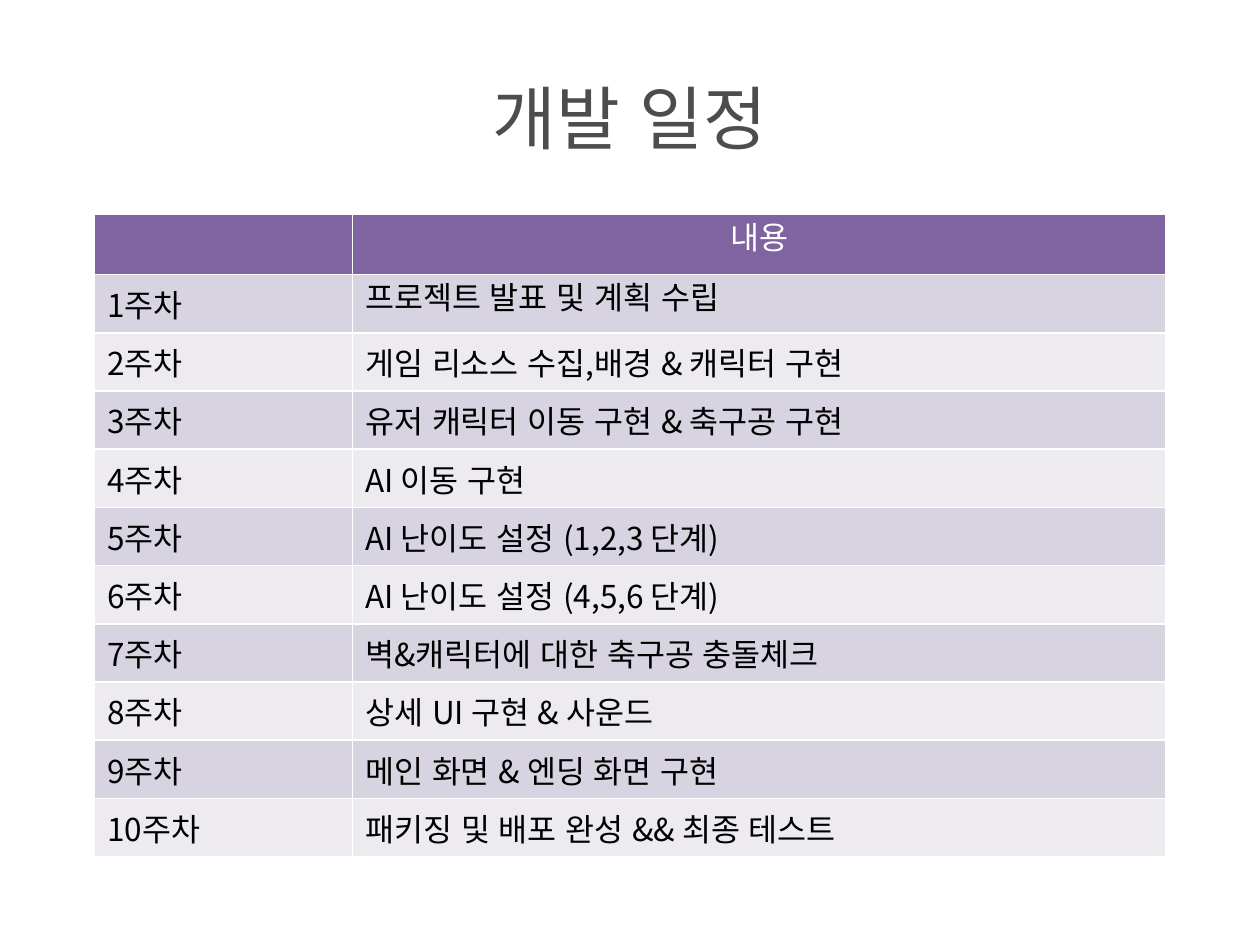
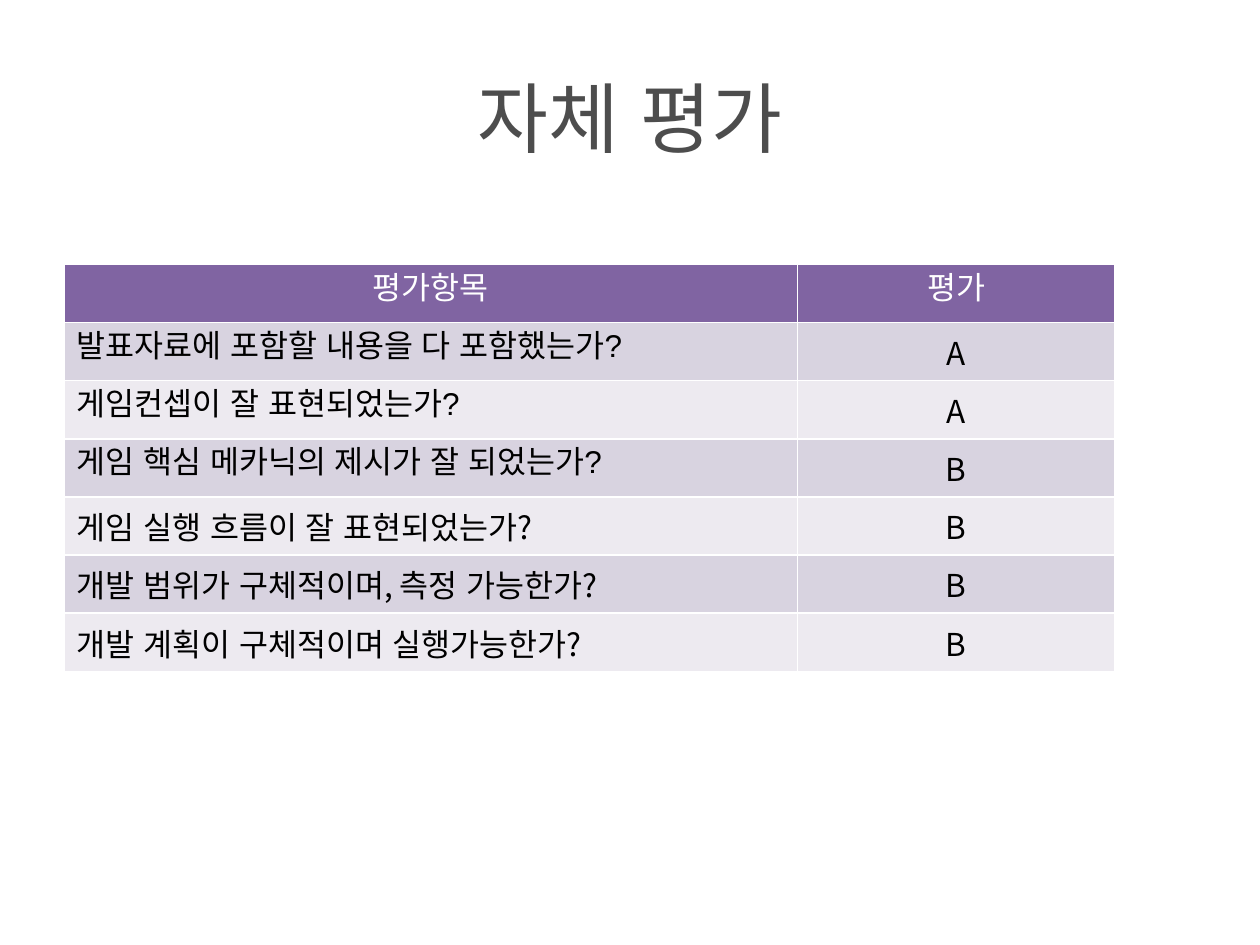
from lxml import etree
from pptx import Presentation
from pptx import util as u
from pptx.dml import color
from pptx.enum import text
from pptx.oxml import ns

# Content
PLAN = [
    "프로젝트 발표 및 계획 수립",
    "게임 리소스 수집,배경 & 캐릭터 구현",
    "유저 캐릭터 이동 구현 & 축구공 구현",
    "AI 이동 구현",
    "AI 난이도 설정 (1,2,3 단계)",
    "AI 난이도 설정 (4,5,6 단계)",
    "벽&캐릭터에 대한 축구공 충돌체크",
    "상세 UI 구현 & 사운드",
    "메인 화면 & 엔딩 화면 구현",
    "패키징 및 배포 완성 && 최종 테스트",
]
GRADES = [
    ("발표자료에 포함할 내용을 다 포함했는가?", "A"),
    ("게임컨셉이 잘 표현되었는가?", "A"),
    ("게임 핵심 메카닉의 제시가 잘 되었는가?", "B"),
    ("게임 실행 흐름이 잘 표현되었는가?", "B"),
    ("개발 범위가 구체적이며, 측정 가능한가?", "B"),
    ("개발 계획이 구체적이며 실행가능한가?", "B"),
]
# "tall" is the height of the head row and of all body rows together;
# "arial" counts the body rows whose first cell uses Arial
SLIDES = [
    dict(title="개발 일정", size=39.6, at=(0.75, 1.7), cols=(2.05, 6.45),
         head=("", "내용"), rows=[(f"{n}주차", job) for n, job in enumerate(PLAN, 1)],
         tall=(0.48, 4.62), mid=(), arial=0),
    dict(title="자체 평가", size=44, at=(0.51, 2.1), cols=(5.82, 2.52),
         head=("평가항목", "평가"), rows=GRADES,
         tall=(0.46, 2.77), mid=(1,), arial=3),
]

# Shared style
HEX = dict(title="4D4D4D", head="8064A2", odd="D8D3E0", even="EDEAF0",
           white="FFFFFF", black="000000")
SANS = "Noto Sans CJK KR"
EAST = "Arial"


def rgb(name):
    return color.RGBColor.from_string(HEX[name])


def write(frame, words, size, ink, center, font=SANS):
    para = frame.paragraphs[0]
    para.alignment = text.PP_ALIGN.CENTER if center else text.PP_ALIGN.LEFT
    if not words:
        para.font.size = u.Pt(size)
        return
    run = para.add_run()
    run.text = words
    run.font.size = u.Pt(size)
    run.font.bold = False
    run.font.name = font
    run.font.color.rgb = rgb(ink)
    east = etree.SubElement(run.font._element, ns.qn("a:ea"))
    east.set("typeface", EAST)


def edge(cell):
    props = cell._tc.get_or_add_tcPr()
    for side in "LRTB":
        line = etree.SubElement(props, ns.qn(f"a:ln{side}"), w=str(u.Pt(1)))
        fill = etree.SubElement(line, ns.qn("a:solidFill"))
        etree.SubElement(fill, ns.qn("a:srgbClr"), val=HEX["white"])


def add_title(slide, words, size):
    box = slide.shapes.add_textbox(*map(u.Inches, (0.5, 0.3, 9, 1.25)))
    frame = box.text_frame
    frame.word_wrap = True
    frame.vertical_anchor = text.MSO_ANCHOR.MIDDLE
    write(frame, words, size, "title", True)


def add_grid(slide, page):
    rows = [page["head"], *page["rows"]]
    first, body = page["tall"]
    size = map(u.Inches, (*page["at"], sum(page["cols"]), first + body))
    grid = slide.shapes.add_table(len(rows), len(page["cols"]), *size).table
    for col, wide in zip(grid.columns, page["cols"]):
        col.width = u.Inches(wide)
    for r, row in enumerate(rows):
        top = r == 0
        grid.rows[r].height = u.Inches(first if top else body / len(page["rows"]))
        for c, words in enumerate(row):
            cell = grid.cell(r, c)
            edge(cell)
            cell.fill.solid()
            cell.fill.fore_color.rgb = rgb("head" if top else "odd" if r % 2 else "even")
            font = "Arial" if c == 0 and 0 < r <= page["arial"] else SANS
            write(cell.text_frame, words, 18, "white" if top else "black",
                  top or c in page["mid"], font)


def main():
    deck = Presentation()
    deck.slide_width, deck.slide_height = u.Inches(10), u.Inches(7.5)
    for page in SLIDES:
        slide = deck.slides.add_slide(deck.slide_layouts[6])
        add_title(slide, page["title"], page["size"])
        add_grid(slide, page)
    deck.save("out.pptx")


if __name__ == "__main__":
    main()
